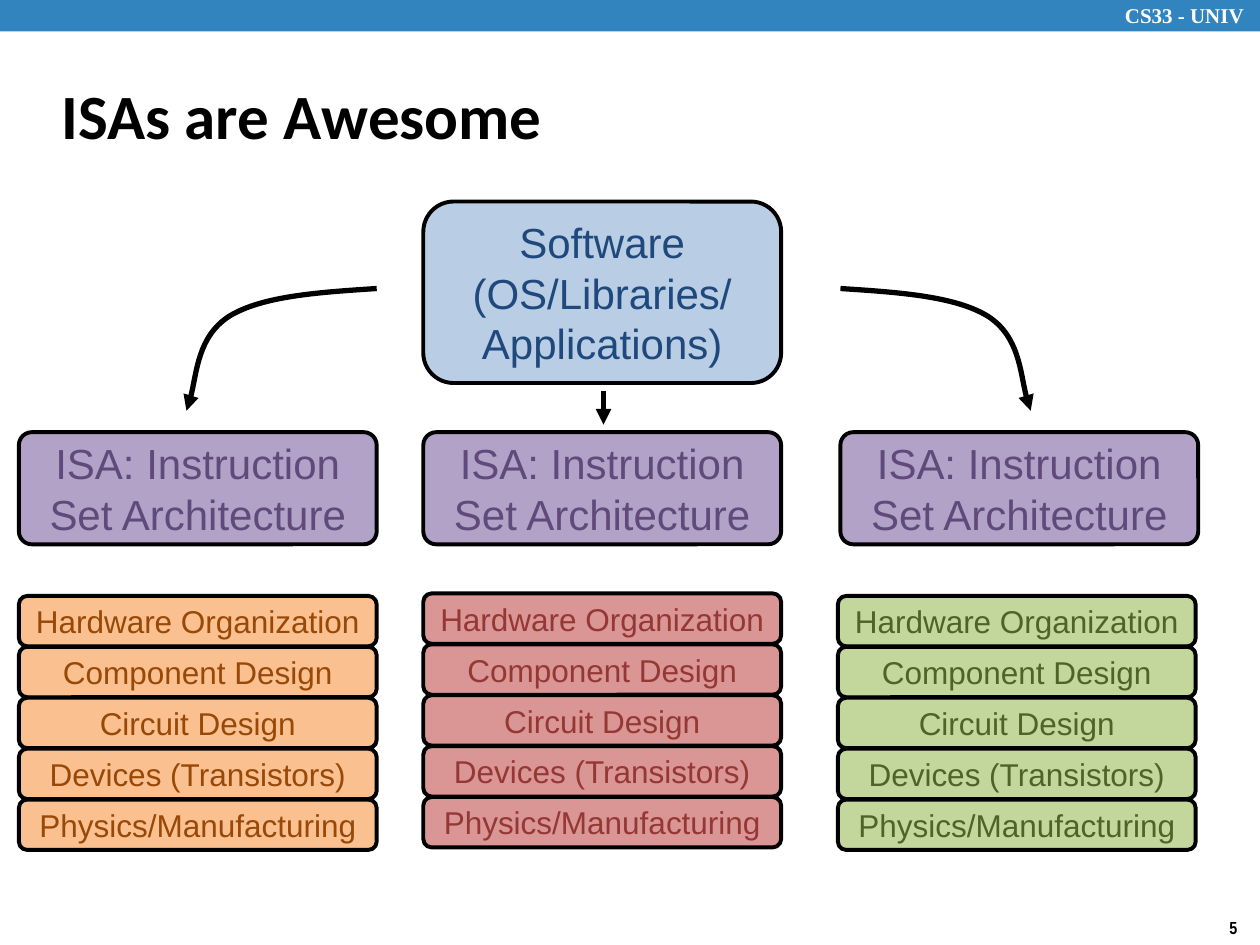
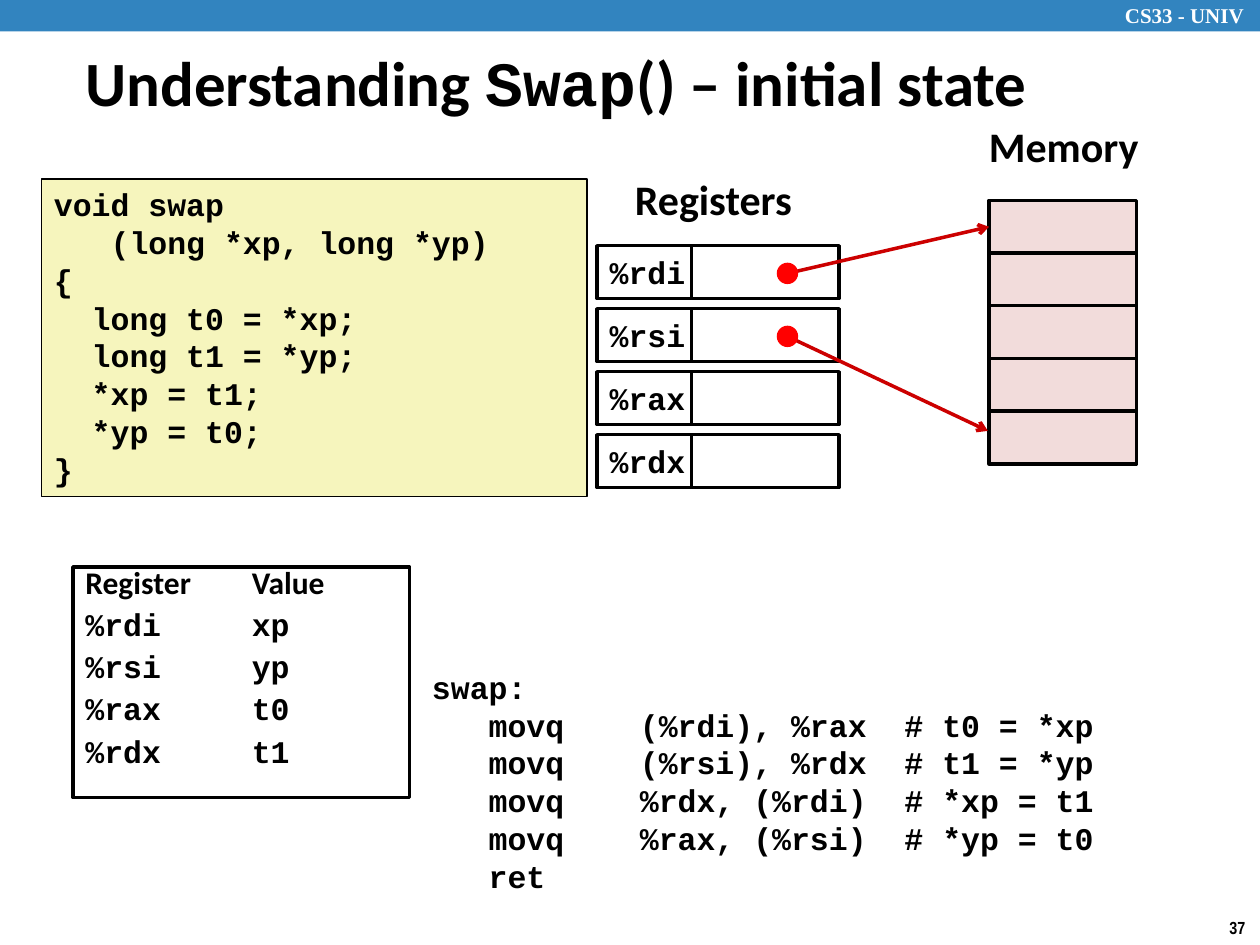
from dataclasses import dataclass

from lxml import etree
from pptx import Presentation
from pptx.dml.color import RGBColor
from pptx.enum.shapes import MSO_CONNECTOR, MSO_SHAPE
from pptx.enum.text import MSO_ANCHOR, PP_ALIGN
from pptx.oxml.ns import qn
from pptx.util import Inches, Pt

RECT, ROUNDED, OVAL = MSO_SHAPE.RECTANGLE, MSO_SHAPE.ROUNDED_RECTANGLE, MSO_SHAPE.OVAL
STRAIGHT = MSO_CONNECTOR.STRAIGHT
LEFT, CENTER = PP_ALIGN.LEFT, PP_ALIGN.CENTER
TOP, MIDDLE = MSO_ANCHOR.TOP, MSO_ANCHOR.MIDDLE
LEFT_SIDE = 1


@dataclass(frozen=True)
class Theme:
    black: str = "000000"
    white: str = "FFFFFF"
    band: str = "3284BF"
    software: tuple = ("B9CDE5", "1F497D")
    isa: tuple = ("B3A2C7", "604A7B")
    orange: tuple = ("FAC090", "984807")
    red: tuple = ("D99694", "953735")
    green: tuple = ("C3D69B", "4F6228")
    code_fill: str = "F6F5BD"
    memory_fill: str = "F2DCDB"
    pointer: str = "CC0000"
    dot: str = "FF0000"
    sans: str = "Arial"
    heading: str = "Calibri"
    mono: str = "Courier New"
    serif: str = "Times New Roman"
    narrow: str = "Arial Narrow"
    title_size: int = 36
    large: int = 24
    body: int = 18
    course_size: int = 12
    number_size: int = 10


THEME = Theme()

# Content: slide 1
COURSE = "CS33 - UNIV"
AWESOME_TITLE = [("ISAs are Awesome", THEME.heading)]
SOFTWARE = ["Software", "(OS/Libraries/", "Applications)"]
ISA = ["ISA: Instruction", "Set Architecture"]
LAYERS = ["Hardware Organization", "Component Design", "Circuit Design",
          "Devices (Transistors)", "Physics/Manufacturing"]
# ISA left, stack left, stack top, stack colours
MACHINES = [(0.15, 0.15, 4.73, THEME.orange),
            (3.36, 3.36, 4.71, THEME.red),
            (6.67, 6.65, 4.73, THEME.green)]
LEFT_CURVE = [(2.99, 2.29), (2.53, 2.32), (2.08, 2.35), (1.82, 2.51),
              (1.57, 2.67), (1.55, 3.09), (1.48, 3.26)]
RIGHT_CURVE = [(9.66 - x, y) for x, y in LEFT_CURVE]

# Content: slide 2
SWAP_TITLE = [("Understanding ", THEME.heading), ("Swap", THEME.mono),
              ("() – initial state", THEME.heading)]
SWAP_CODE = ["void swap", "\t\t(long *xp, long *yp)", "{", "\tlong t0 = *xp;",
             "\tlong t1 = *yp;", "\t*xp = t1;", "\t*yp = t0;", "}"]
SWAP_ASSEMBLY = ["swap:",
                 "\tmovq\t(%rdi), %rax\t# t0 = *xp",
                 "\tmovq\t(%rsi), %rdx\t# t1 = *yp",
                 "\tmovq\t%rdx, (%rdi)\t# *xp = t1",
                 "\tmovq\t%rax, (%rsi)\t# *yp = t0",
                 "\tret"]
REGISTER_VALUES = [("%rdi", "xp"), ("%rsi", "yp"), ("%rax", "t0"), ("%rdx", "t1")]
MEMORY_CELLS = 5


def rgb(color):
    return RGBColor.from_string(color)


def write(shape, lines, size, color, bold=True, align=LEFT, anchor=TOP,
          wrap=True, tabs=(), spacing=None, before=None):
    """Each line is a list of (text, font) runs."""
    frame = shape.text_frame
    frame.word_wrap = wrap
    frame.vertical_anchor = anchor
    for index, runs in enumerate(lines):
        paragraph = frame.add_paragraph() if index else frame.paragraphs[0]
        paragraph.alignment = align
        if spacing:
            paragraph.line_spacing = spacing
        if before:
            paragraph.space_before = Pt(before)
        if tabs:
            stops = etree.SubElement(paragraph._p.get_or_add_pPr(), qn("a:tabLst"))
            for stop in tabs:
                etree.SubElement(stops, qn("a:tab"), pos=str(Inches(stop)), algn="l")
        for text, font in runs:
            run = paragraph.add_run()
            run.text = text
            run.font.name = font
            run.font.size = Pt(size)
            run.font.bold = bold
            run.font.color.rgb = rgb(color)


def in_font(lines, font):
    return [[(line, font)] for line in lines]


def add_text(slide, box, lines, size, color=THEME.black, **style):
    label = slide.shapes.add_textbox(*map(Inches, box))
    write(label, lines, size, color, **style)


def add_box(slide, kind, box, fill=None, width=None):
    shape = slide.shapes.add_shape(kind, *map(Inches, box))
    shape.shadow.inherit = False
    if fill:
        shape.fill.solid()
        shape.fill.fore_color.rgb = rgb(fill)
    else:
        shape.fill.background()
    if width:
        shape.line.color.rgb = rgb(THEME.black)
        shape.line.width = Pt(width)
    else:
        shape.line.fill.background()
    return shape


def style_arrow(arrow, color, width, head):
    arrow.line.color.rgb = rgb(color)
    arrow.line.width = Pt(width)
    properties = arrow._element.spPr
    etree.SubElement(properties.find(qn("a:ln")), qn("a:tailEnd"), type=head)
    if properties.find(qn("a:effectLst")) is None:
        etree.SubElement(properties, qn("a:effectLst"))


def add_arrow(slide, start, end, color, width, head):
    arrow = slide.shapes.add_connector(STRAIGHT, *map(Inches, start + end))
    style_arrow(arrow, color, width, head)
    return arrow


def add_curved_arrow(slide, points):
    start, *rest = [(Inches(x), Inches(y)) for x, y in points]
    builder = slide.shapes.build_freeform(*start)
    builder.add_line_segments(rest, close=False)
    arrow = builder.convert_to_shape()
    arrow.fill.background()
    # Every three line ends become the control points of one Bézier segment
    segments = list(arrow._element.iter(qn("a:lnTo")))
    outline = segments[0].getparent()
    for first in range(0, len(segments), 3):
        bezier = etree.SubElement(outline, qn("a:cubicBezTo"))
        for segment in segments[first:first + 3]:
            bezier.append(segment[0])
            outline.remove(segment)
    style_arrow(arrow, THEME.black, 3, "triangle")


def add_layer(slide, box, lines, colors, size, corner=None):
    fill, ink = colors
    layer = add_box(slide, ROUNDED, box, fill, 2.25)
    if corner:
        layer.adjustments[0] = corner
    write(layer, in_font(lines, THEME.sans), size, ink, bold=False,
          align=CENTER, anchor=MIDDLE, wrap=False)


def start_slide(deck, title, title_box, number):
    slide = deck.slides.add_slide(deck.slide_layouts[6])
    add_box(slide, RECT, (0, 0, 10, 0.25), THEME.band)
    add_text(slide, (8.83, -0.03, 1.24, 0.3), [[(COURSE, THEME.serif)]],
             THEME.course_size, THEME.white)
    add_text(slide, (9.66, 7.23, 0.34, 0.27), [[(number, THEME.narrow)]],
             THEME.number_size, wrap=False)
    add_text(slide, title_box, [title], THEME.title_size, anchor=MIDDLE)
    return slide


def build_awesome(deck):
    slide = start_slide(deck, AWESOME_TITLE, (0.39, 0.49, 8.3, 0.83), "5")
    width, layer_height, stack_height = 2.84, 0.4, 2.02
    add_layer(slide, (3.36, 1.6, width, 1.44), SOFTWARE, THEME.software, THEME.large)

    # One ISA and one hardware stack per machine
    for isa_left, stack_left, stack_top, colors in MACHINES:
        add_layer(slide, (isa_left, 3.43, width, 0.89), ISA, THEME.isa,
                  THEME.large, corner=0.115)
        for row, layer in enumerate(LAYERS):
            top = stack_top + row * stack_height / len(LAYERS)
            add_layer(slide, (stack_left, top, width, layer_height), [layer],
                      colors, THEME.body)

    # Software to each ISA
    for curve in (LEFT_CURVE, RIGHT_CURVE):
        add_curved_arrow(slide, curve)
    add_arrow(slide, (4.79, 3.1), (4.79, 3.37), THEME.black, 3, "triangle")


def build_swap(deck):
    slide = start_slide(deck, SWAP_TITLE, (0.58, 0.33, 8.44, 0.63), "37")
    cell_width, cell_height = 1.17, 0.42

    # Source code and assembly
    code = add_box(slide, RECT, (0.33, 1.42, 4.33, 2.52), THEME.code_fill, 1)
    write(code, in_font(SWAP_CODE, THEME.mono), THEME.body, THEME.black,
          tabs=(0.3, 0.45))
    add_text(slide, (3.33, 5.25, 6.42, 1.92), in_font(SWAP_ASSEMBLY, THEME.mono),
             THEME.body, tabs=(0.45, 1.65, 3.75))

    # Register values
    values = add_box(slide, RECT, (0.58, 4.5, 2.67, 1.83), width=2)
    rows = [f"{register}\t{value}" for register, value in REGISTER_VALUES]
    write(values, [[("Register\tValue", THEME.heading)]] + in_font(rows, THEME.mono),
          THEME.body, THEME.black, tabs=(1.32,), spacing=0.7, before=9)

    # Registers
    add_text(slide, (4.94, 1.33, 1.48, 0.5), [[("Registers", THEME.heading)]],
             THEME.large, wrap=False)
    for row, (register, _) in enumerate(REGISTER_VALUES):
        top = 1.95 + row * 0.5
        name = add_box(slide, RECT, (4.74, top, 0.75, cell_height), THEME.white, 2)
        write(name, [[(register, THEME.mono)]], THEME.body, THEME.black,
              anchor=MIDDLE, wrap=False)
        add_box(slide, RECT, (5.49, top, cell_width, cell_height), THEME.white, 2)

    # Memory
    add_text(slide, (7.75, 0.91, 1.4, 0.5), [[("Memory", THEME.heading)]],
             THEME.large, wrap=False)
    memory = [add_box(slide, RECT, (7.85, 1.59 + row * 2.09 / MEMORY_CELLS,
                                    cell_width, cell_height), THEME.memory_fill, 2)
              for row in range(MEMORY_CELLS)]

    # Pointers from registers into memory
    dot = 0.17
    pointers = []
    for y, end in ((2.17, (7.85, 1.8)), (2.67, (7.84, 3.42))):
        pointers.append(add_arrow(slide, (6.25, y), end, THEME.pointer, 2, "arrow"))
        add_box(slide, OVAL, (6.25 - dot / 2, y - dot / 2, dot, dot), THEME.dot)
    pointers[0].end_connect(memory[0], LEFT_SIDE)


def main():
    deck = Presentation()
    deck.slide_width, deck.slide_height = Inches(10), Inches(7.5)
    build_awesome(deck)
    build_swap(deck)
    deck.save("out.pptx")


if __name__ == "__main__":
    main()
